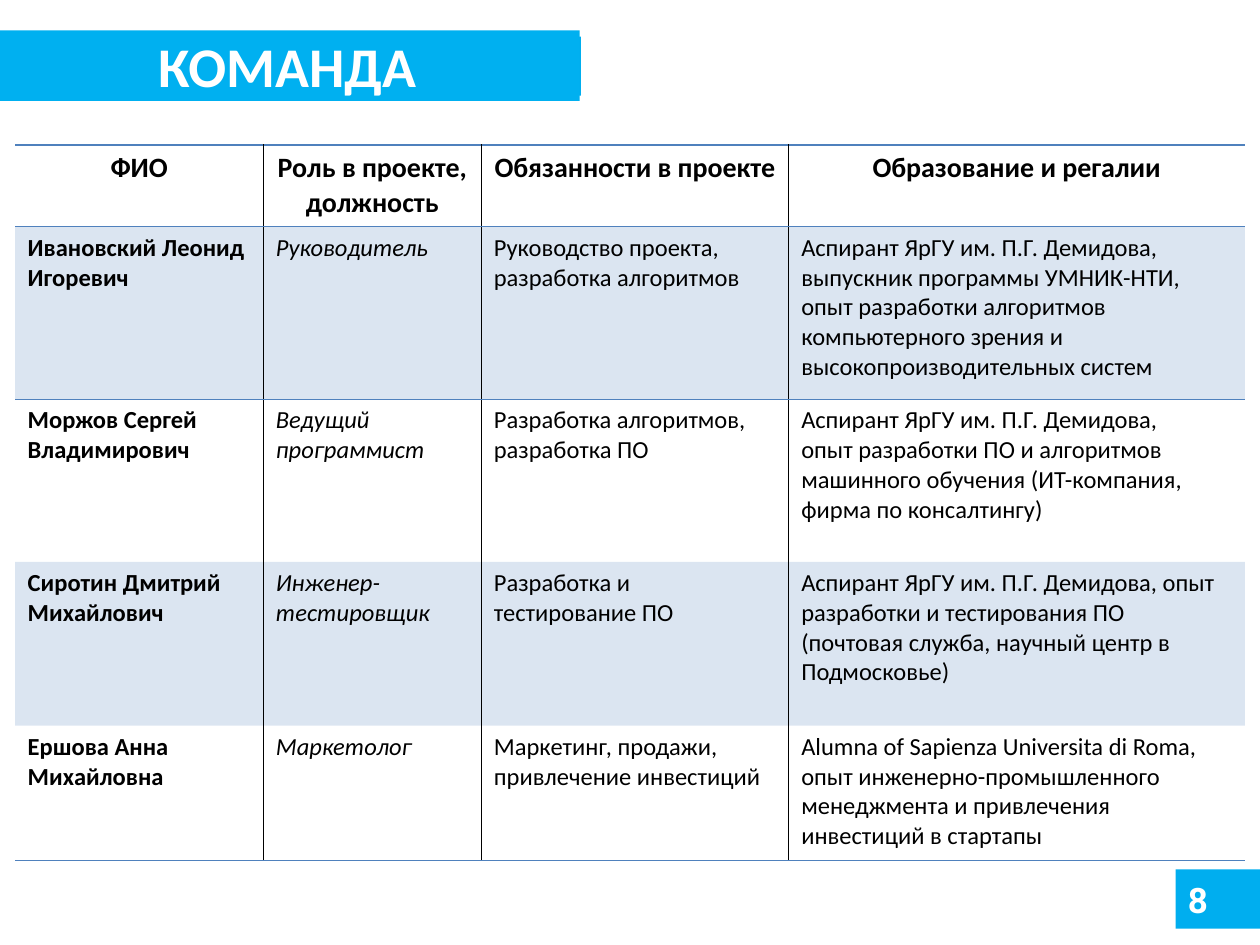
import dataclasses
import typing

import lxml.etree
import pptx
import pptx.dml.color
import pptx.enum.shapes
import pptx.enum.text
import pptx.oxml.ns
import pptx.util

ALIGN = pptx.enum.text.PP_ALIGN
MIDDLE = pptx.enum.text.MSO_ANCHOR.MIDDLE
BLACK, WHITE, BLUE = "000000", "FFFFFF", "4F81BD"
BAND_BLUE, TITLE_BLUE = "00AEEF", "00B0F0"
PLAIN_TABLE_STYLE = "{2D5ABB26-0587-4C30-8999-92F81FD0307C}"
SLIDE_WIDTH, SLIDE_HEIGHT = pptx.util.Inches(10), pptx.util.Inches(7.5)
COLUMN_PERCENTS = (19.7, 17.3, 24.4, 36.2)
ROW_PERCENTS = (8.67, 18.27, 17.2, 17.33, 14.27)


@dataclasses.dataclass(frozen=True)
class Area:
    left: float
    top: float
    width: float
    height: float


@dataclasses.dataclass(frozen=True)
class Style:
    size: float
    bold: bool = False
    italic: bool = False
    color: str = BLACK
    font: str = "Calibri"
    align: typing.Any = ALIGN.LEFT


class Member(typing.NamedTuple):
    name: str
    role: str
    duties: str
    background: str


HEADINGS = Member("ФИО", "Роль в проекте, должность",
                  "Обязанности в проекте", "Образование и регалии")
TEAM = (
    Member("Ивановский Леонид Игоревич", "Руководитель",
           "Руководство проекта, разработка алгоритмов",
           "Аспирант ЯрГУ им. П.Г. Демидова, выпускник программы УМНИК-НТИ,\n"
           "опыт разработки алгоритмов компьютерного зрения и "
           "высокопроизводительных систем"),
    Member("Моржов Сергей Владимирович", "Ведущий программист",
           "Разработка алгоритмов, разработка ПО",
           "Аспирант ЯрГУ им. П.Г. Демидова,\n"
           "опыт разработки ПО и алгоритмов машинного обучения "
           "(ИТ-компания, фирма по консалтингу)"),
    Member("Сиротин Дмитрий Михайлович", "Инженер-тестировщик",
           "Разработка и тестирование ПО",
           "Аспирант ЯрГУ им. П.Г. Демидова, опыт разработки и тестирования ПО "
           "(почтовая служба, научный центр в Подмосковье)"),
    Member("Ершова Анна Михайловна", "Маркетолог",
           "Маркетинг, продажи, привлечение инвестиций",
           "Alumna of Sapienza Universita di Roma,\n"
           "опыт инженерно-промышленного менеджмента и привлечения "
           "инвестиций в стартапы"),
)
HEADING_STYLE = Style(16, bold=True, align=ALIGN.CENTER)
MEMBER_STYLES = (Style(14, bold=True), Style(14, italic=True, align=ALIGN.JUSTIFY),
                 Style(14), Style(14))


def rgb(color: str) -> pptx.dml.color.RGBColor:
    return pptx.dml.color.RGBColor.from_string(color)


def across(percent: float) -> int:
    return round(SLIDE_WIDTH * percent / 100)


def down(percent: float) -> int:
    return round(SLIDE_HEIGHT * percent / 100)


def box(area: Area) -> tuple[int, int, int, int]:
    return across(area.left), down(area.top), across(area.width), down(area.height)


def apply_format(target: typing.Any, values: dict[str, typing.Any]) -> None:
    for attribute, value in values.items():
        setattr(target, attribute, value)


def write(frame: typing.Any, text: str, style: Style) -> None:
    frame.text = text
    frame.word_wrap = True
    for paragraph in frame.paragraphs:
        paragraph.alignment = style.align
        for run in paragraph.runs:
            apply_format(run.font, {"size": pptx.util.Pt(style.size), "bold": style.bold,
                                    "italic": style.italic, "name": style.font})
            run.font.color.rgb = rgb(style.color)


def add_band(slide: typing.Any, area: Area) -> None:
    band = slide.shapes.add_shape(pptx.enum.shapes.MSO_SHAPE.RECTANGLE, *box(area))
    band.shadow.inherit = False
    band.fill.solid()
    band.fill.fore_color.rgb = rgb(BAND_BLUE)
    band.line.fill.background()


def add_number(slide: typing.Any, area: Area, number: str) -> None:
    frame = slide.shapes.add_textbox(*box(area)).text_frame
    write(frame, number, Style(20, bold=True, color=WHITE, font="Roboto"))
    frame.vertical_anchor = MIDDLE


def place_title(slide: typing.Any, area: Area, text: str) -> None:
    title = slide.shapes.title
    apply_format(title, dict(zip(("left", "top", "width", "height"), box(area))))
    title.fill.solid()
    title.fill.fore_color.rgb = rgb(TITLE_BLUE)
    write(title.text_frame, text, Style(32, bold=True, color=WHITE, align=ALIGN.CENTER))
    apply_format(title.text_frame, {"vertical_anchor": MIDDLE,
                                    "auto_size": pptx.enum.text.MSO_AUTO_SIZE.NONE})
    title.element.getparent().append(title.element)


def add_border(properties: typing.Any, side: str, color: str) -> None:
    qn = pptx.oxml.ns.qn
    line = lxml.etree.SubElement(properties, qn(f"a:ln{side}"), w=str(pptx.util.Pt(1)))
    fill = lxml.etree.SubElement(line, qn("a:solidFill"))
    lxml.etree.SubElement(fill, qn("a:srgbClr"), val=color)


def format_cell(cell: typing.Any, row: int, column: int) -> None:
    properties = cell._tc.get_or_add_tcPr()
    borders = (("L", BLACK, column > 0),
               ("R", BLACK, column < len(COLUMN_PERCENTS) - 1),
               ("T", BLUE, row <= 1),
               ("B", BLUE, row in (0, len(TEAM))))
    for side, color, shown in borders:
        if shown:
            add_border(properties, side, color)
    if row % 2:
        cell.fill.solid()
        cell.fill.fore_color.rgb = rgb(BLUE)
        tint = next(properties.iterchildren(pptx.oxml.ns.qn("a:solidFill")))[0]
        lxml.etree.SubElement(tint, pptx.oxml.ns.qn("a:alpha"), val="20000")
    else:
        cell.fill.background()


def add_team_table(slide: typing.Any, left: float, top: float) -> None:
    area = Area(left, top, sum(COLUMN_PERCENTS), sum(ROW_PERCENTS))
    team = slide.shapes.add_table(len(ROW_PERCENTS), len(COLUMN_PERCENTS), *box(area)).table
    apply_format(team, {"first_row": False, "horz_banding": False})
    style_id = next(team._tbl.iter(pptx.oxml.ns.qn("a:tableStyleId")))
    style_id.text = PLAIN_TABLE_STYLE
    for column, percent in zip(team.columns, COLUMN_PERCENTS):
        column.width = across(percent)
    for row, percent in zip(team.rows, ROW_PERCENTS):
        row.height = down(percent)
    for row, member in enumerate((HEADINGS, *TEAM)):
        for column, text in enumerate(member):
            cell = team.cell(row, column)
            write(cell.text_frame, text, MEMBER_STYLES[column] if row else HEADING_STYLE)
            format_cell(cell, row, column)


def main() -> None:
    deck = pptx.Presentation()
    apply_format(deck, {"slide_width": SLIDE_WIDTH, "slide_height": SLIDE_HEIGHT})
    slide = deck.slides.add_slide(deck.slide_layouts.get_by_name("Title Only"))
    number_area = Area(93.3, 92, 6.7, 6.27)
    add_band(slide, Area(0, 3.87, 46.1, 6.27))
    add_band(slide, number_area)
    add_number(slide, dataclasses.replace(number_area, width=6.3), "8")
    add_team_table(slide, 1.2, 15.33)
    place_title(slide, Area(-0.4, 3.2, 46.4, 7.47), "КОМАНДА")
    deck.save("out.pptx")


if __name__ == "__main__":
    main()
